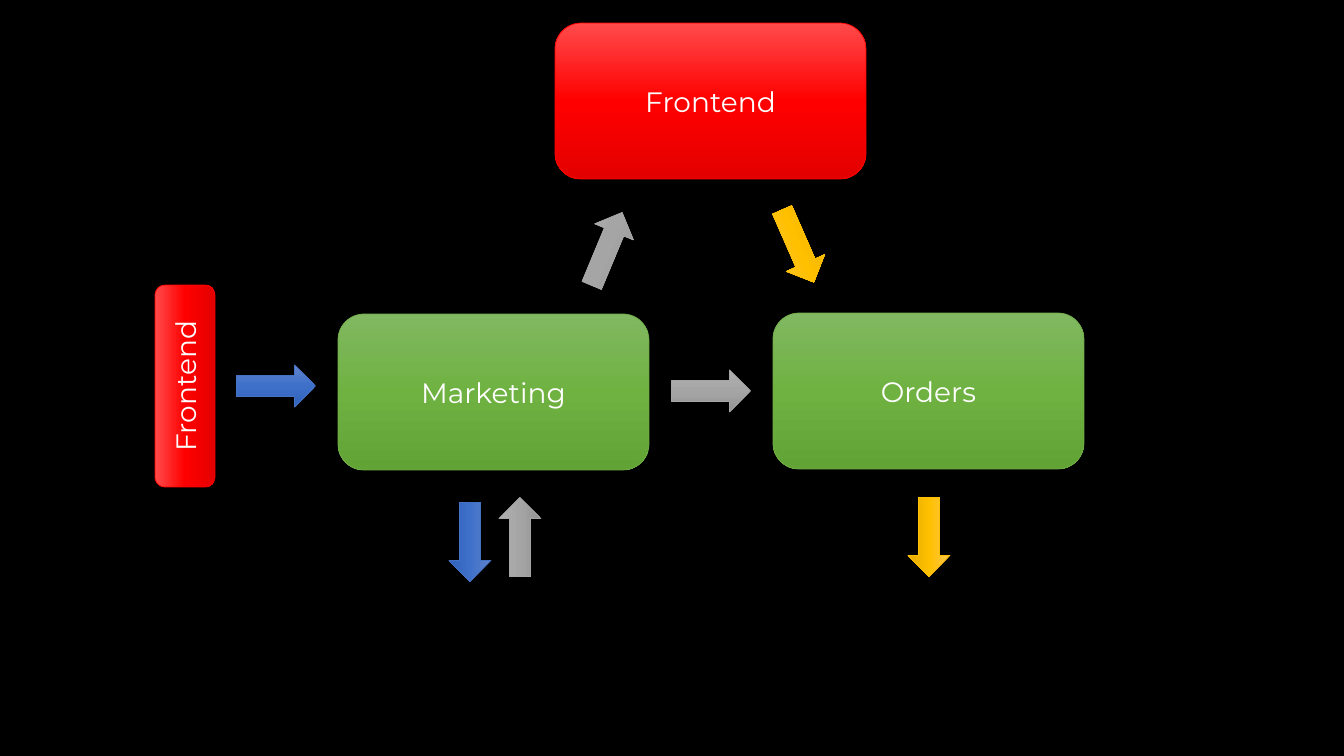
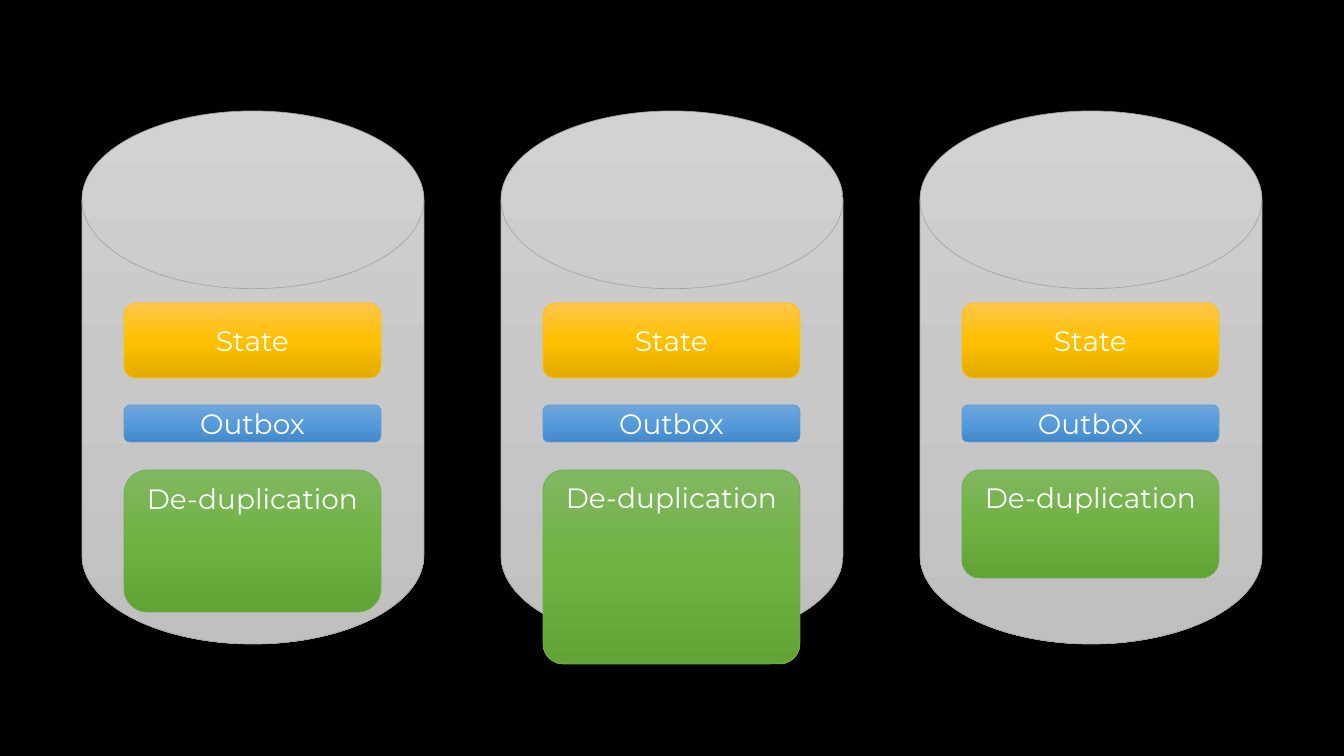
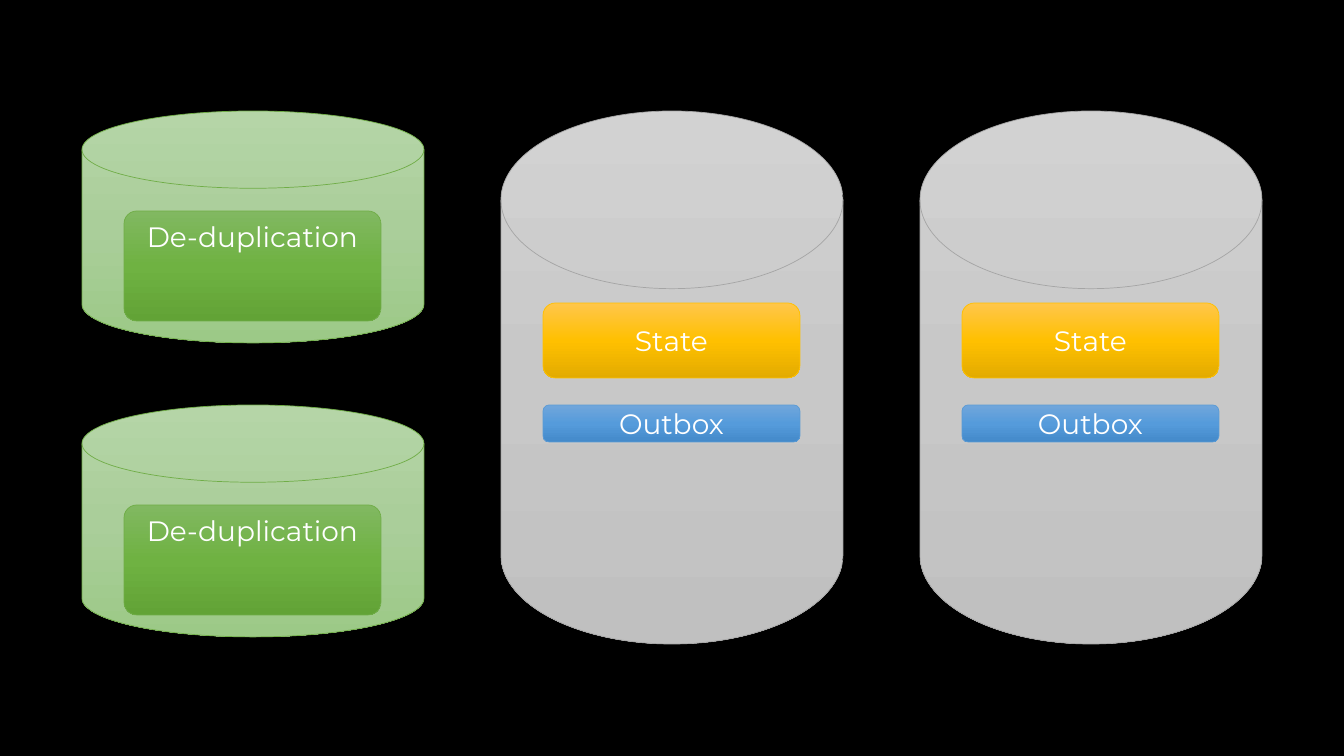
"""Build three slides on message flow, outbox state and de-duplication storage."""
from copy import deepcopy

from pptx import Presentation
from pptx.dml.color import RGBColor
from pptx.enum.shapes import MSO_SHAPE
from pptx.enum.text import MSO_ANCHOR, PP_ALIGN
from pptx.oxml.ns import qn
from pptx.util import Emu, Pt

FONT = "Montserrat"
BLACK = RGBColor(0x00, 0x00, 0x00)
WHITE = RGBColor(0xFF, 0xFF, 0xFF)


def palette(line, *stops):
    return [RGBColor.from_string(c) for c in (line, *stops)]


RED = palette("FF0000", "FF4B4B", "FF0000", "E30000")
GREEN = palette("70AD47", "81B861", "6FB242", "62A336")
GOLD = palette("FFC000", "FFC64B", "FFC000", "E3AB00")
NAVY = palette("4472C4", "6183CB", "3E70CA", "3062BB")
SKY = palette("5B9BD5", "71A6DB", "559BDB", "448ACA")
GRAY = palette("A5A5A5", "AFAFAF", "A5A5A5", "939393")
SILVER = palette("A5A5A5", "D2D2D2", "C8C8C8", "C0C0C0")
MINT = palette("70AD47", "B5D5A7", "AACE9A", "9CC987")

SERVICE_W, SERVICE_H = 311, 156
SERVICES = [
    ("Frontend", 555, 23, RED),
    ("Orders", 773, 313, GREEN),
    ("Marketing", 338, 314, GREEN),
]
SIDE_FRONTEND = (84, 356, 202, 60)

ARROW_W, ARROW_H = 79, 42
ARROWS = [
    (711, 391, 0, GRAY, False),
    (470, 542, 90, NAVY, False),
    (276, 386, 0, NAVY, False),
    (520, 537, 270, GRAY, False),
    (607, 249, 292.6, GRAY, False),
    (798, 246, 246.4, GOLD, True),
    (929, 537, 90, GOLD, False),
]

COLUMN_X, COLUMN_PITCH = 82, 419
DISK_W, DISK_Y, DISK_H = 342, 111, 533
ENTRY_INSET, ENTRY_W = 42, 257
STATE_OUTBOX = [("State", 303, 75, GOLD), ("Outbox", 405, 37, SKY)]
DEDUP = "De-duplication"
DEDUP_Y = 470
DEDUP_SIZES = [(142, None), (194, 0.105), (108, None)]

STORE_TOPS = [111, 405]
STORE_H = 232
STORE_ENTRY_DY, STORE_ENTRY_H, STORE_ENTRY_ADJ = 100, 110, 0.117


def px(n):
    return Emu(round(n * 914400 / 100.8))


def add_shape(shapes, kind, box, colors, text="", anchor=MSO_ANCHOR.MIDDLE, adj=None):
    sp = shapes.add_shape(kind, *map(px, box))
    sp.shadow.inherit = False
    line, *stops = colors
    sp.fill.gradient()
    sp.fill.gradient_angle = 270
    first = sp._element.spPr.find(".//" + qn("a:gs"))
    first.addnext(deepcopy(first))
    for stop, color, position in zip(sp.fill.gradient_stops, stops, (0, 0.5, 1)):
        stop.color.rgb = color
        stop.position = position
    sp.line.color.rgb = line
    sp.line.width = Pt(0.5)
    if adj is not None:
        sp.adjustments[0] = adj
    if text:
        tf = sp.text_frame
        tf.text = text
        tf.word_wrap = True
        tf.vertical_anchor = anchor
        p = tf.paragraphs[0]
        p.alignment = PP_ALIGN.CENTER
        p.font.name, p.font.size = FONT, Pt(20)
        p.font.color.rgb = WHITE
    return sp


def add_arrow(shapes, cx, cy, angle, colors, flipped):
    box = (cx - ARROW_W / 2, cy - ARROW_H / 2, ARROW_W, ARROW_H)
    sp = add_shape(shapes, MSO_SHAPE.RIGHT_ARROW, box, colors)
    sp.rotation = angle
    if flipped:
        sp._element.spPr.xfrm.set("flipH", "1")


def add_disk(s, column, top, height, colors):
    shapes = s.shapes.add_group_shape().shapes
    x = COLUMN_X + column * COLUMN_PITCH
    box = (x, top, DISK_W, height)
    add_shape(shapes, MSO_SHAPE.FLOWCHART_MAGNETIC_DISK, box, colors)
    return shapes, x + ENTRY_INSET


def add_database(s, column):
    shapes, x = add_disk(s, column, DISK_Y, DISK_H, SILVER)
    for text, y, h, colors in STATE_OUTBOX:
        add_shape(shapes, MSO_SHAPE.ROUNDED_RECTANGLE, (x, y, ENTRY_W, h), colors, text)
    return shapes, x


def add_dedup(shapes, x, y, h, adj):
    add_shape(shapes, MSO_SHAPE.ROUNDED_RECTANGLE, (x, y, ENTRY_W, h), GREEN,
              DEDUP, MSO_ANCHOR.TOP, adj)


prs = Presentation()
prs.slide_width, prs.slide_height = px(1344), px(756)
background = prs.slide_master.background.fill
background.solid()
background.fore_color.rgb = BLACK
flow, databases, stores = [prs.slides.add_slide(prs.slide_layouts[6]) for _ in range(3)]

for text, x, y, colors in SERVICES:
    add_shape(flow.shapes, MSO_SHAPE.ROUNDED_RECTANGLE,
              (x, y, SERVICE_W, SERVICE_H), colors, text)
side = add_shape(flow.shapes, MSO_SHAPE.ROUNDED_RECTANGLE, SIDE_FRONTEND, RED, "Frontend")
side.rotation = 270
for arrow in ARROWS:
    add_arrow(flow.shapes, *arrow)

for column, (h, adj) in enumerate(DEDUP_SIZES):
    shapes, x = add_database(databases, column)
    add_dedup(shapes, x, DEDUP_Y, h, adj)

for top in STORE_TOPS:
    shapes, x = add_disk(stores, 0, top, STORE_H, MINT)
    add_dedup(shapes, x, top + STORE_ENTRY_DY, STORE_ENTRY_H, STORE_ENTRY_ADJ)
for column in (1, 2):
    add_database(stores, column)

prs.save("out.pptx")
